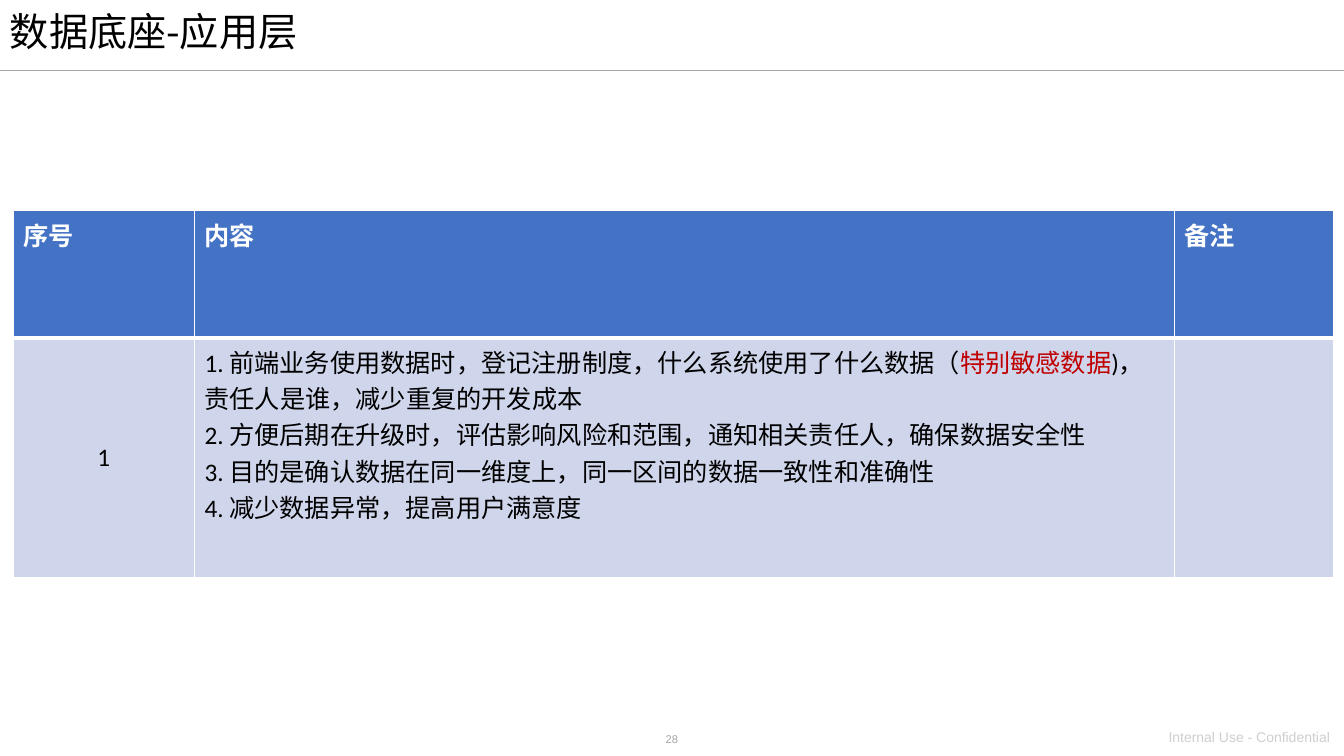
from lxml import etree
from pptx import Presentation
from pptx.dml.color import RGBColor
from pptx.enum.shapes import MSO_CONNECTOR
from pptx.enum.text import MSO_ANCHOR, PP_ALIGN
from pptx.oxml.ns import qn
from pptx.util import Cm, Pt

STRAIGHT = MSO_CONNECTOR.STRAIGHT
MIDDLE, TOP = MSO_ANCHOR.MIDDLE, MSO_ANCHOR.TOP
LEFT, CENTER = PP_ALIGN.LEFT, PP_ALIGN.CENTER

COLORS = {
    "text": "000000", "white": "FFFFFF", "rule": "A6A6A6", "label": "D0CECE",
    "header": "4472C4", "body": "CFD5EA", "alert": "C00000",
}
CHINESE_FONT = "Noto Sans CJK SC"
SLIDE_WIDTH, SLIDE_HEIGHT = 33.87, 19.05

COLUMN_WIDTHS = [4.57, 24.69, 4.01]
ROW_HEIGHTS = [3.2, 6.05]
HEADERS = ["序号", "内容", "备注"]
CONTENT = [
    [("1. 前端业务使用数据时，登记注册制度，什么系统使用了什么数据（", "text"),
     ("特别敏感数据", "alert"),
     (")，责任人是谁，减少重复的开发成本", "text")],
    [("2. 方便后期在升级时，评估影响风险和范围，通知相关责任人，确保数据安全性", "text")],
    [("3. 目的是确认数据在同一维度上，同一区间的数据一致性和准确性", "text")],
    [("4. 减少数据异常，提高用户满意度", "text")],
]


def color(name):
    return RGBColor.from_string(COLORS[name])


def add_run(paragraph, text, size, font_name, color_name, bold=False):
    run = paragraph.add_run()
    run.text = text
    run.font.size = Pt(size)
    run.font.name = font_name
    run.font.bold = bold
    run.font.color.rgb = color(color_name)
    east_asian = etree.SubElement(run.font._element, qn("a:ea"))
    east_asian.set("typeface", CHINESE_FONT)


def add_label(slide, box, text, size, font_name, color_name,
              alignment=LEFT, anchor=TOP, line_spacing=1.0):
    shape = slide.shapes.add_textbox(*(Cm(length) for length in box))
    frame = shape.text_frame
    frame.word_wrap = True
    frame.vertical_anchor = anchor
    paragraph = frame.paragraphs[0]
    paragraph.alignment = alignment
    paragraph.line_spacing = line_spacing
    add_run(paragraph, text, size, font_name, color_name)


def add_header(slide, left, top, width, height):
    add_label(slide, (left, top, 25.04, 1.68), "数据底座-应用层", 28,
              CHINESE_FONT, "text", anchor=MIDDLE, line_spacing=0.9)
    bottom = Cm(top + height)
    rule = slide.shapes.add_connector(
        STRAIGHT, Cm(left), bottom, Cm(left + width), bottom)
    rule.line.color.rgb = color("rule")
    rule.line.width = Pt(1)
    etree.SubElement(rule._element.spPr, qn("a:effectLst"))


def style_cell(cell, fill_name, border_widths):
    properties = cell._tc.get_or_add_tcPr()
    for side, width in zip("LRTB", border_widths):
        border = etree.SubElement(properties, qn(f"a:ln{side}"), w=str(Pt(width)))
        fill = etree.SubElement(border, qn("a:solidFill"))
        etree.SubElement(fill, qn("a:srgbClr"), val=COLORS["white"])
    cell.fill.solid()
    cell.fill.fore_color.rgb = color(fill_name)


def fill_cell(cell, paragraphs, alignment=LEFT, anchor=TOP, bold=False):
    frame = cell.text_frame
    cell.vertical_anchor = anchor
    for index, runs in enumerate(paragraphs):
        paragraph = frame.add_paragraph() if index else frame.paragraphs[0]
        paragraph.alignment = alignment
        for text, color_name in runs:
            add_run(paragraph, text, 18, "Calibri", color_name, bold)


def add_content_table(slide, left, top, width, height):
    table = slide.shapes.add_table(
        len(ROW_HEIGHTS), len(COLUMN_WIDTHS),
        Cm(left), Cm(top), Cm(width), Cm(height)).table
    for column, column_width in zip(table.columns, COLUMN_WIDTHS):
        column.width = Cm(column_width)
    for row, row_height in zip(table.rows, ROW_HEIGHTS):
        row.height = Cm(row_height)
    for index, header in enumerate(HEADERS):
        style_cell(table.cell(0, index), "header", (1, 1, 1, 3))
        style_cell(table.cell(1, index), "body", (1, 1, 3, 1))
        fill_cell(table.cell(0, index), [[(header, "white")]], bold=True)
    fill_cell(table.cell(1, 0), [[("1", "text")]], CENTER, MIDDLE)
    fill_cell(table.cell(1, 1), CONTENT)


def add_footer(slide, left, top, width):
    number_width, label_width = 4.47, 4.67
    add_label(slide, (left + (width - number_width) / 2, top + 0.1, number_width, 0.61),
              "28", 8, "Arial", "rule", CENTER)
    add_label(slide, (left + width - label_width, top, label_width, 0.69),
              "Internal Use - Confidential", 10, "Arial", "label")


def main():
    presentation = Presentation()
    presentation.slide_width = Cm(SLIDE_WIDTH)
    presentation.slide_height = Cm(SLIDE_HEIGHT)
    slide = presentation.slides.add_slide(presentation.slide_layouts[6])
    add_header(slide, 0, 0, SLIDE_WIDTH, 1.78)
    add_content_table(slide, 0.33, 5.31, sum(COLUMN_WIDTHS), sum(ROW_HEIGHTS))
    add_footer(slide, 0, 18.24, SLIDE_WIDTH)
    presentation.save("out.pptx")


if __name__ == "__main__":
    main()
